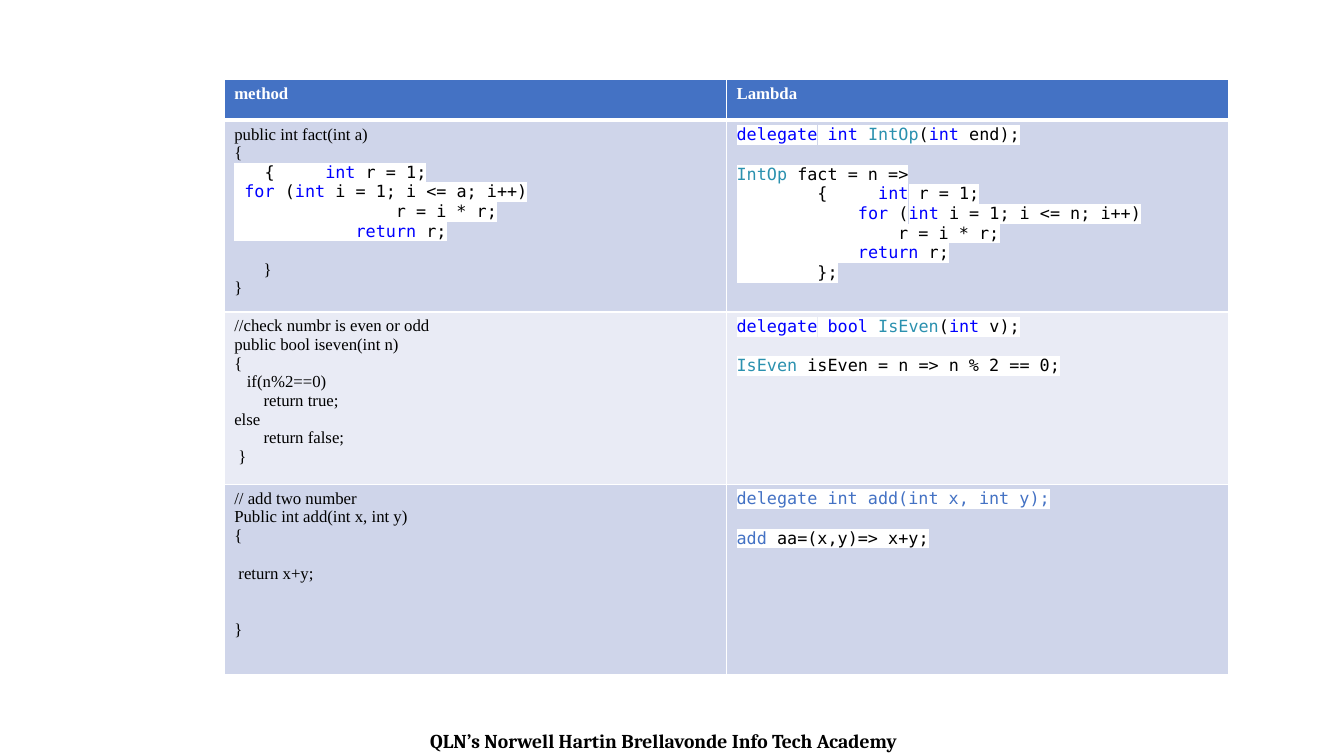
from dataclasses import dataclass
from itertools import groupby

from lxml.etree import SubElement
from pptx import Presentation
from pptx.dml.color import RGBColor
from pptx.enum.text import MSO_AUTO_SIZE, PP_ALIGN
from pptx.oxml.ns import qn
from pptx.util import Cm, Pt

SERIF, MONO = "Times New Roman", "DejaVu Sans Mono"
BLACK, WHITE, ACCENT = "000000", "FFFFFF", "4472C4"
SYNTAX = {word: "0000FF" for word in ("delegate", "int", "bool", "for", "return")}
SYNTAX |= {"IntOp": "2B91AF", "IsEven": "2B91AF", "add": ACCENT}


@dataclass
class Line:
    text: str
    gap: float = 0  # points before the line
    color: str = ""  # one colour for the whole line


class Code(Line):
    """A highlighted line with coloured keywords."""


@dataclass
class Row:
    height: float
    fill: str
    cells: list[list[Line]]


ROWS = [
    Row(1.02, ACCENT, [[Line("method", color=WHITE)], [Line("Lambda", color=WHITE)]]),
    Row(4.83, "CFD5EA", [
        [
            Line("public int fact(int a)"),
            Line("{"),
            Code("   {     int r = 1;"),
            Code(" for (int i = 1; i <= a; i++)"),
            Code("                r = i * r;"),
            Code("            return r;"),
            Line("       }", gap=13.5),
            Line("}"),
        ],
        [
            Code("delegate int IntOp(int end);"),
            Code("IntOp fact = n =>", gap=14),
            Code("        {     int r = 1;"),
            Code("            for (int i = 1; i <= n; i++)"),
            Code("                r = i * r;"),
            Code("            return r;"),
            Code("        };"),
        ],
    ]),
    Row(4.34, "E9EBF5", [
        [
            Line("//check numbr is even or odd"),
            Line("public bool iseven(int n)"),
            Line("{"),
            Line("   if(n%2==0)"),
            Line("       return true;"),
            Line("else"),
            Line("       return false;"),
            Line(" }"),
        ],
        [
            Code("delegate bool IsEven(int v);"),
            Code("IsEven isEven = n => n % 2 == 0;", gap=14),
        ],
    ]),
    Row(4.8, "CFD5EA", [
        [
            Line("// add two number"),
            Line("Public int add(int x, int y)"),
            Line("{"),
            Line(" return x+y;", gap=13.5),
            Line("}", gap=27),
        ],
        [
            Code("delegate int add(int x, int y);", color=ACCENT),
            Code("add aa=(x,y)=> x+y;", gap=14),
        ],
    ]),
]


def rgb(value: str) -> RGBColor:
    return RGBColor.from_string(value)


def add_span(para, text: str, *, font: str = SERIF, size: float = 12,
             color: str = BLACK, bold: bool = False, highlight: str = "") -> None:
    span = para.add_run()
    span.text = text
    span.font.size, span.font.bold, span.font.name = Pt(size), bold, font
    span.font.color.rgb = rgb(color)
    if highlight:
        properties = span.font._element
        mark = SubElement(properties, qn("a:highlight"))
        SubElement(mark, qn("a:srgbClr"), val=highlight)
        properties.find(qn("a:solidFill")).addnext(mark)


def add_line(para, line: Line, bold: bool) -> None:
    if line.gap:
        para.space_before = Pt(line.gap)
    if not isinstance(line, Code):
        add_span(para, line.text, color=line.color or BLACK, bold=bold)
        return
    # Split into words and symbols, then join neighbours of one colour
    words = ["".join(part) for _, part in groupby(line.text, str.isalnum)]
    for color, part in groupby(words, lambda word: line.color or SYNTAX.get(word, BLACK)):
        add_span(para, "".join(part), font=MONO, color=color, highlight=WHITE)


def set_borders(cell, top: float, bottom: float) -> None:
    properties = cell._tc.get_or_add_tcPr()
    widths = {"L": 1, "R": 1, "T": top, "B": bottom}
    for index, (side, width) in enumerate(widths.items()):
        border = SubElement(properties, qn(f"a:ln{side}"), w=str(Pt(width)))
        fill = SubElement(border, qn("a:solidFill"))
        SubElement(fill, qn("a:srgbClr"), val=WHITE)
        properties.insert(index, border)


def add_comparison(page, rows: list[Row]) -> None:
    height = sum(row.height for row in rows)
    table = page.shapes.add_table(
        len(rows), 2, Cm(5.65), Cm(2.01), Cm(25.32), Cm(height)).table
    for row_index, row in enumerate(rows):
        table.rows[row_index].height = Cm(row.height)
        header = row_index == 0
        for column, lines in enumerate(row.cells):
            cell = table.cell(row_index, column)
            cell.fill.solid()
            cell.fill.fore_color.rgb = rgb(row.fill)
            set_borders(cell, top=3 if row_index == 1 else 1, bottom=3 if header else 1)
            frame = cell.text_frame
            for index, line in enumerate(lines):
                para = frame.add_paragraph() if index else frame.paragraphs[0]
                add_line(para, line, bold=header)


def add_footer(page, text: str) -> None:
    box = page.shapes.add_textbox(Cm(-0.2), Cm(18.24), Cm(33.86), Cm(0.86))
    frame = box.text_frame
    frame.word_wrap = True
    frame.auto_size = MSO_AUTO_SIZE.SHAPE_TO_FIT_TEXT
    para = frame.paragraphs[0]
    para.alignment = PP_ALIGN.CENTER
    add_span(para, text, font="Cambria", size=14, bold=True)


def main() -> None:
    deck = Presentation()
    deck.slide_width, deck.slide_height = Cm(33.87), Cm(19.05)
    page = deck.slides.add_slide(deck.slide_layouts[6])
    # Academy name along the bottom edge
    add_footer(page, "QLN’s Norwell Hartin Brellavonde Info Tech Academy")
    # Methods beside their lambda forms
    add_comparison(page, ROWS)
    deck.save("out.pptx")


if __name__ == "__main__":
    main()
